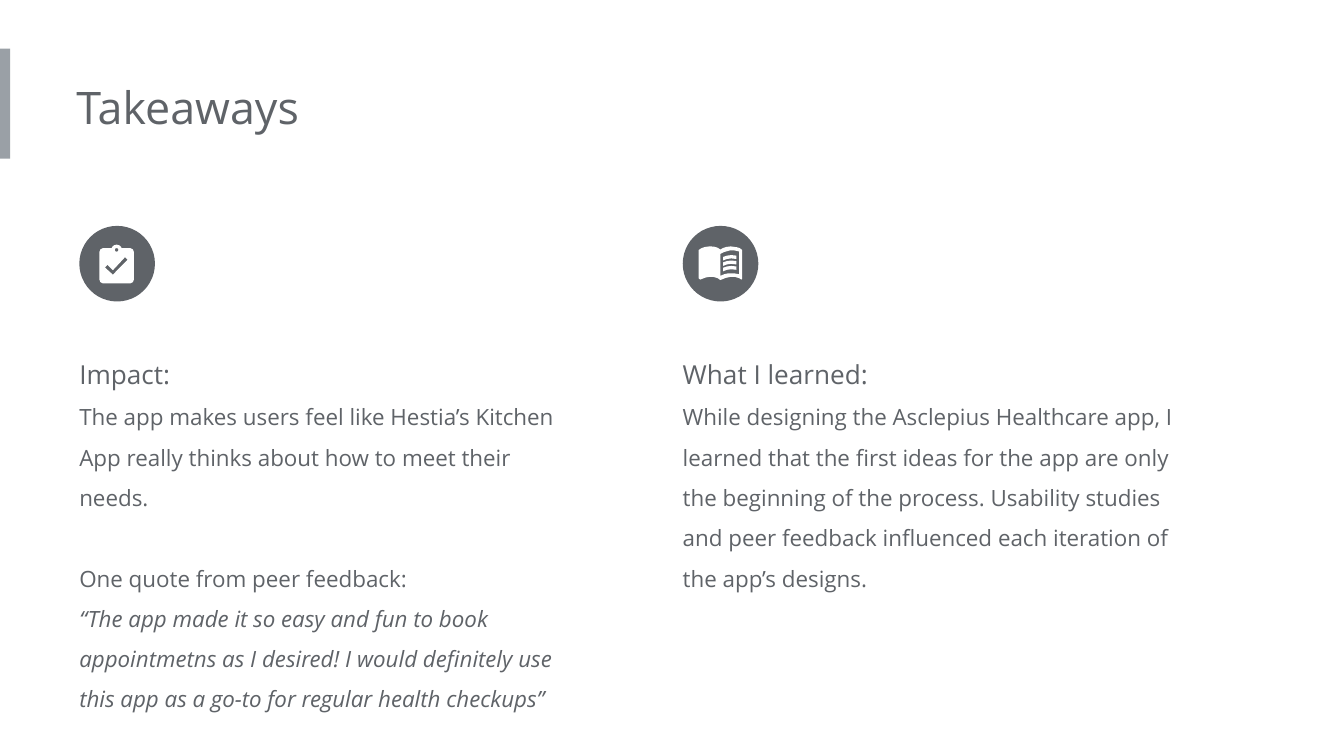
"""Build the Takeaways slide with its two icon columns."""
from pptx import Presentation
from pptx.dml.color import RGBColor
from pptx.enum.shapes import MSO_SHAPE
from pptx.util import Pt

COLORS = {"text": "5F6368", "bar": "9AA0A6", "icon": "FFFFFF"}
COLUMNS = [
    (42.5, 258, [
        ("Impact:", 14, False, 0),
        ("The app makes users feel like Hestia’s Kitchen App really thinks "
         "about how to meet their needs.", 12, False, 0),
        ("One quote from peer feedback:", 12, False, 21.6),
        ("“The app made it so easy and fun to book appointmetns as I desired! "
         "I would definitely use this app as a go-to for regular health "
         "checkups”", 12, True, 0),
    ]),
    (365.75, 149, [
        ("What I learned:", 14, False, 0),
        ("While designing the Asclepius Healthcare app, I learned that the "
         "first ideas for the app are only the beginning of the process. "
         "Usability studies and peer feedback influenced each iteration of "
         "the app’s designs.", 12, False, 0),
    ]),
]
CLIPBOARD_HALF = [
    (200, 101), (213, 104), (222, 111), (227, 120), (274, 120), (287, 126),
    (292, 139), (292, 289), (287, 302), (274, 308),
]
CLIPBOARD = CLIPBOARD_HALF + [(400 - x, y) for x, y in CLIPBOARD_HALF[:0:-1]]
CLIP_HOLE = [(200, 119), (207, 122), (210, 129), (207, 136),
             (200, 139), (193, 136), (190, 129), (193, 122)]
CHECK = [(180, 262), (137, 223), (151, 209), (180, 238), (245, 168), (259, 182)]
BOOK = [
    (86, 129), (100, 120), (120, 113), (144, 110), (166, 111), (187, 117),
    (202, 127), (216, 119), (234, 113), (257, 110), (288, 114), (305, 119),
    (319, 129), (319, 283), (314, 288), (302, 280), (282, 274), (257, 273),
    (230, 279), (202, 290), (187, 280), (166, 274), (144, 273), (122, 277),
    (94, 288), (86, 282),
]
PAGE = [(202, 150), (223, 140), (252, 132), (274, 131), (302, 137),
        (302, 259), (274, 254), (245, 254), (223, 259), (202, 268)]
TEXT_LINE = [(216, 167), (237, 160), (260, 157), (288, 160),
             (288, 178), (260, 175), (237, 178), (216, 186)]


def paint(sp, color):
    sp.shadow.inherit = False
    sp.fill.solid()
    sp.fill.fore_color.rgb = RGBColor.from_string(COLORS[color])
    sp.line.fill.background()


def add_text(s, left, top, width, height, paragraphs, spacing):
    tf = s.shapes.add_textbox(Pt(left), Pt(top), Pt(width), Pt(height)).text_frame
    tf.word_wrap = True
    tf.margin_left = 0
    tf.margin_top = tf.margin_right = tf.margin_bottom = Pt(7.2)
    for i, (text, size, italic, before) in enumerate(paragraphs):
        p = tf.add_paragraph() if i else tf.paragraphs[0]
        p.text = text
        p.line_spacing = spacing
        p.space_before = Pt(before)
        r = p.runs[0]
        r.font.name = "Open Sans"
        r.font.size = Pt(size)
        r.font.italic = italic
        r.font.color.rgb = RGBColor.from_string(COLORS["text"])


prs = Presentation()
prs.slide_width, prs.slide_height = Pt(720), Pt(405)
s = prs.slides.add_slide(prs.slide_layouts[6])

bar = s.shapes.add_shape(MSO_SHAPE.RECTANGLE, 0, Pt(26), Pt(5.5), Pt(59))
paint(bar, "bar")
add_text(s, 41, 35.5, 388, 44, [("Takeaways", 24, False, 0)], 1.0)

icon_top = 121
for left, height, paragraphs in COLUMNS:
    add_text(s, left, 176.5, 271.5, height, paragraphs, 1.5)
    circle = s.shapes.add_shape(MSO_SHAPE.OVAL, Pt(left), Pt(icon_top), Pt(40.5), Pt(40.5))
    paint(circle, "text")

lines = [[(x, y + 29 * i) for x, y in TEXT_LINE] for i in range(3)]
icons = [(COLUMNS[0][0], [[CLIPBOARD, CLIP_HOLE, CHECK]]),
         (COLUMNS[1][0], [[BOOK, PAGE]] + [[line] for line in lines])]
for left, outlines in icons:
    for contours in outlines:
        fb = s.shapes.build_freeform(*contours[0][0], scale=Pt(0.1))
        fb.add_line_segments(contours[0][1:])
        for contour in contours[1:]:
            fb.move_to(*contour[0])
            fb.add_line_segments(contour[1:])
        paint(fb.convert_to_shape(Pt(left), Pt(icon_top)), "icon")

prs.save("out.pptx")
